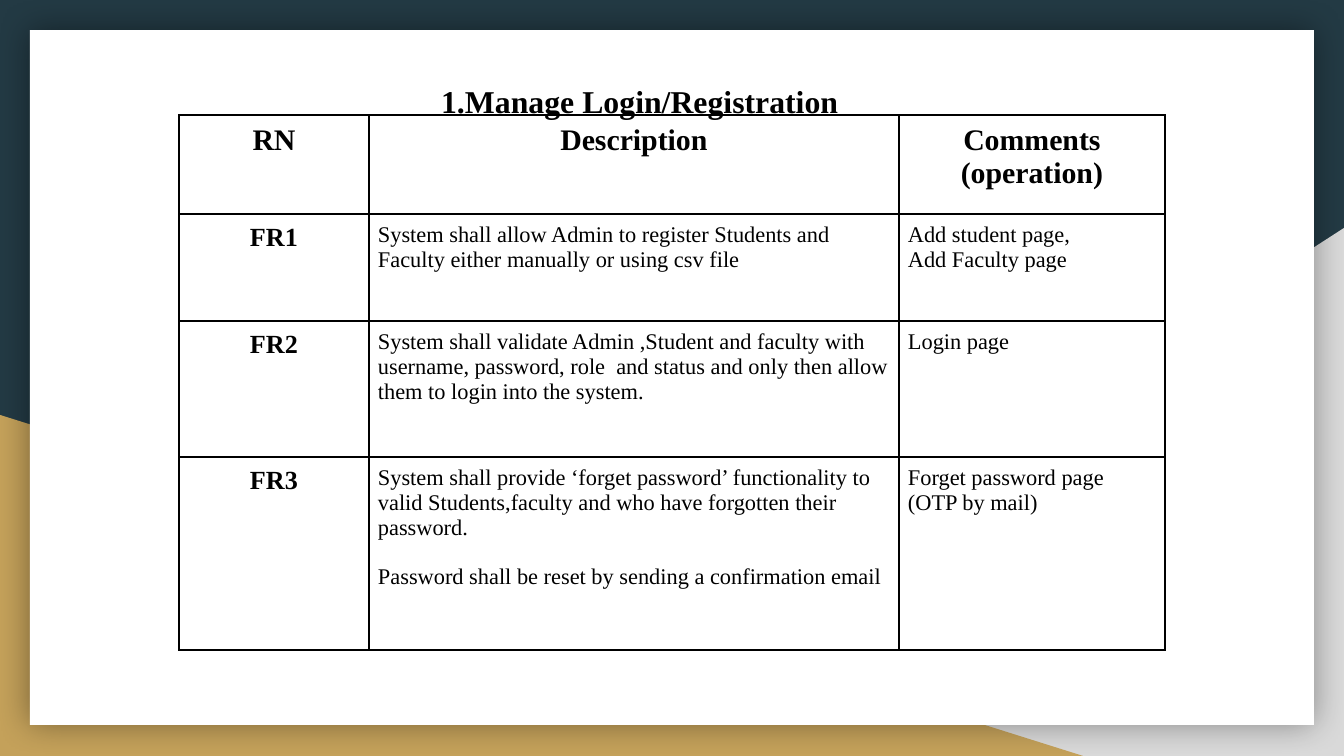
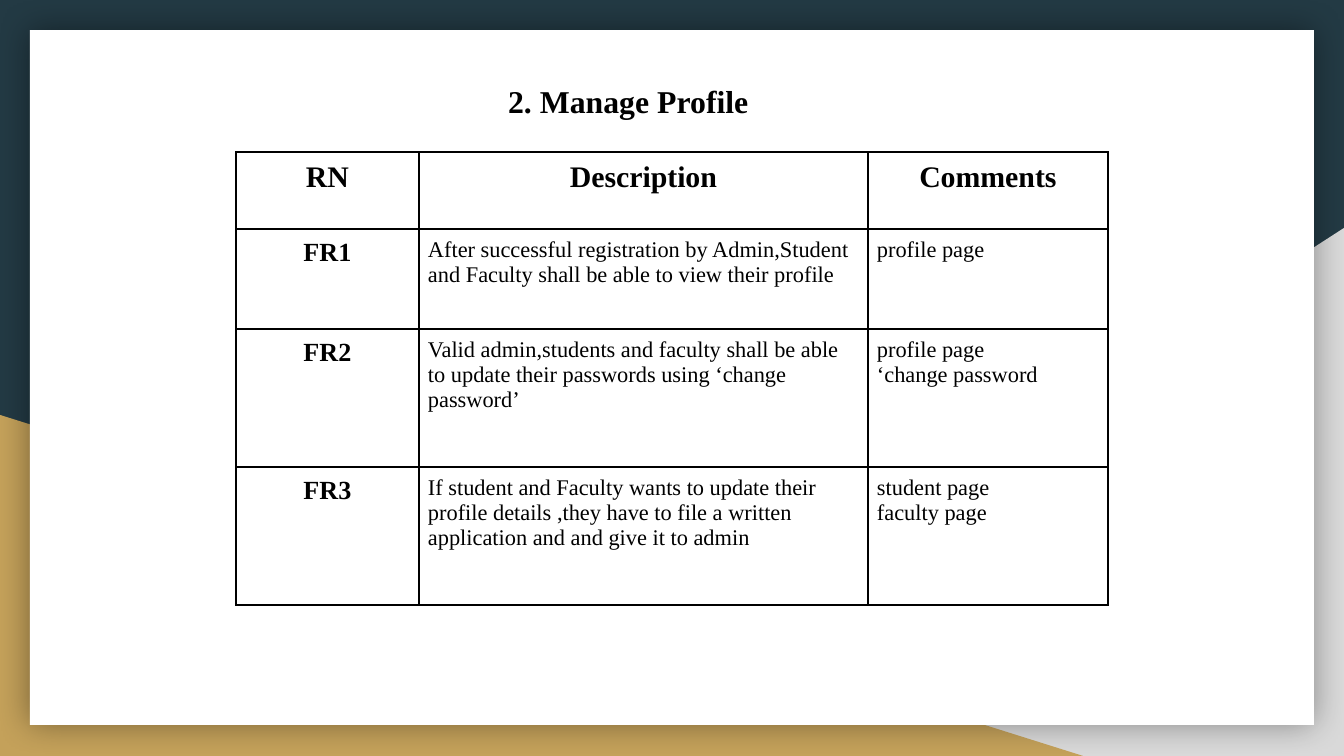
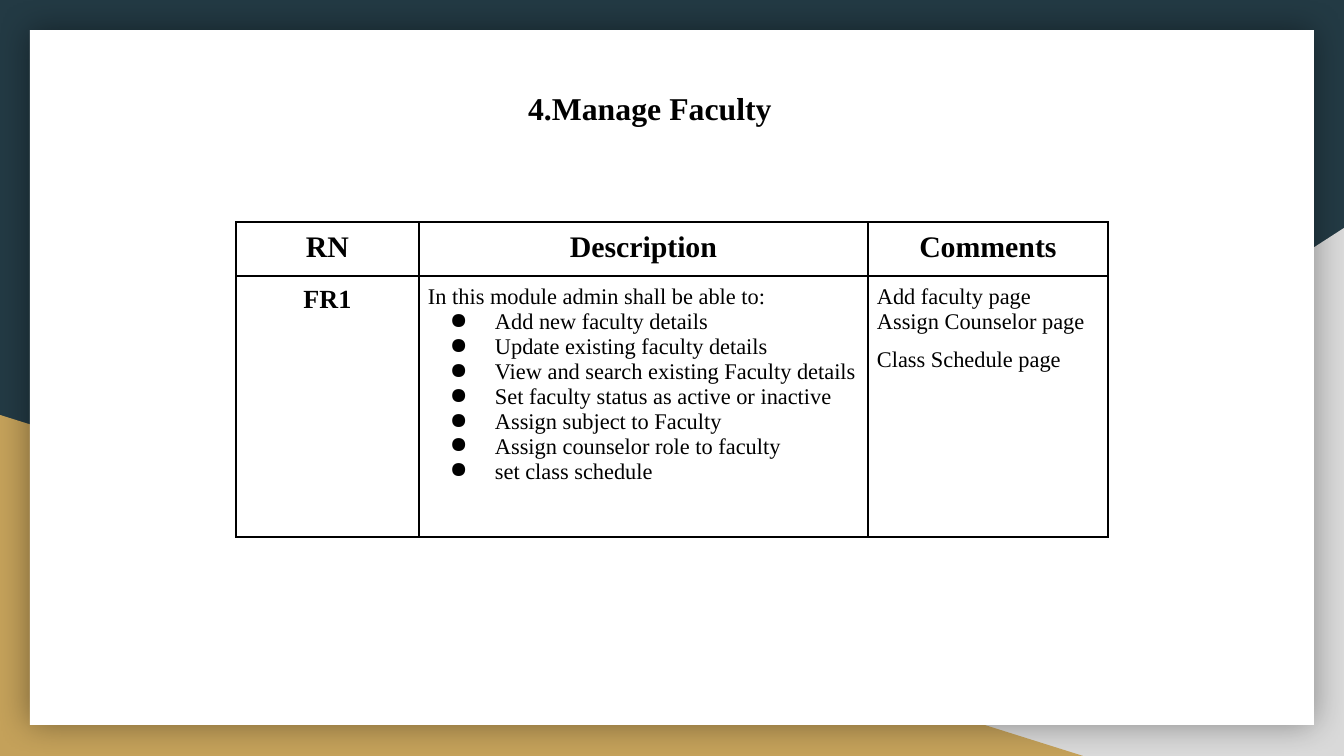
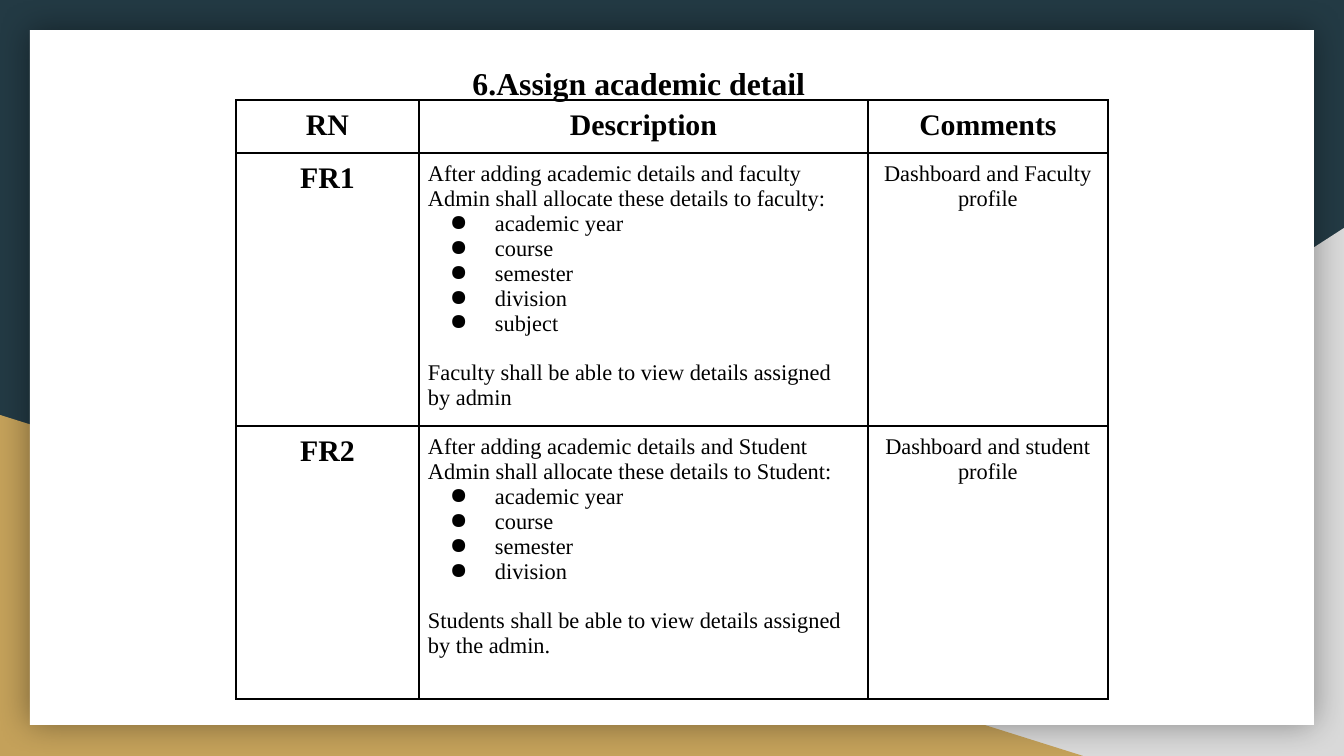
from collections import namedtuple
from dataclasses import dataclass

from lxml import etree
from pptx import Presentation
from pptx import util as u
from pptx.dml.color import RGBColor
from pptx.enum import shapes, text
from pptx.oxml.ns import qn

Line = namedtuple("Line", "words kind")
Title = namedtuple("Title", "words box margin first_indent spacing align")
Requirements = namedtuple("Requirements", "title corner columns rows body_align code_size lines")


@dataclass(frozen=True)
class Theme:
    font: str = "Times New Roman"
    ink: str = "000000"
    backdrop: str = "233A44"
    grey: str = "D9D9D9"
    gold: str = "C4A15A"
    paper: str = "FFFFFF"
    title: int = 17
    heading: int = 16
    code: int = 14
    body: int = 12
    paragraph_gap: int = 13
    border: int = 1
    shadow_blur: int = 18
    shadow_opacity: int = 40


THEME = Theme()
EMU_PER_PX = 914400 / 134.4
WIDTH, HEIGHT = 1344, 756
CELL_INSET = 9
TITLE_INSET = 13
BULLET_MARGIN, BULLET_HANG = 67, -45

LEFT, CENTER = text.PP_ALIGN.LEFT, text.PP_ALIGN.CENTER
WIDE_COLUMNS = (190, 530, 266)
NARROW_COLUMNS = (183, 449, 240)
HEADINGS = ["RN", "Description", "Comments"]


def bullets(*items):
    return [Line(item, "bullet") for item in items]


def allocation(role, details, closing):
    return [f"After adding academic details and {role.capitalize()}" if role == "student"
            else f"After adding academic details and {role}",
            f"Admin shall allocate these details to {role.capitalize() if role == 'student' else role}:",
            *bullets(*details), Line(closing, "apart")]


DETAILS = ["academic year", "course", "semester", "division"]

SLIDES = [
    Requirements(
        Title("1.Manage Login/Registration", (159, 50, 986, 66), 202, 67, 1.5, LEFT),
        (179, 115), WIDE_COLUMNS, (99, 107, 136, 193), LEFT, THEME.code, [
            ["RN", "Description", ["Comments", "(operation)"]],
            ["FR1",
             ["System shall allow Admin to register Students and Faculty either manually or using csv file"],
             ["Add student page,", "Add Faculty page"]],
            ["FR2",
             ["System shall validate Admin ,Student and faculty with username, password, role  and status "
              "and only then allow them to login into the system."],
             ["Login page"]],
            ["FR3",
             ["System shall provide ‘forget password’ functionality to valid Students,faculty and who have "
              "forgotten their password.",
              Line("Password shall be reset by sending a confirmation email", "apart")],
             ["Forget password page", "(OTP by mail)"]],
        ]),
    Requirements(
        Title("2. Manage Profile", (159, 50, 986, 66), 269, 67, 1.5, LEFT),
        (236, 152), NARROW_COLUMNS, (77, 100, 138, 138), LEFT, THEME.code, [
            HEADINGS,
            ["FR1",
             ["After successful registration by Admin,Student and Faculty shall be able to view their profile"],
             ["profile page"]],
            ["FR2",
             ["Valid admin,students and faculty shall be able  to update their passwords using "
              "‘change password’"],
             ["profile page", "‘change password"]],
            ["FR3",
             ["If student and Faculty wants to update their profile details ,they have to file a written "
              "application and and give it to admin"],
             ["student page", "faculty page"]],
        ]),
    Requirements(
        Title("4.Manage Faculty", (179, 57, 986, 66), 269, 67, 1.5, LEFT),
        (236, 222), NARROW_COLUMNS, (54, 261), LEFT, THEME.code, [
            HEADINGS,
            ["FR1",
             ["In this module admin shall be able to:",
              *bullets("Add new faculty details", "Update existing faculty details",
                       "View and search existing Faculty details",
                       "Set faculty status as active or inactive", "Assign subject to Faculty",
                       "Assign counselor role to faculty", "set class schedule")],
             ["Add faculty page", "Assign Counselor page", Line("Class Schedule page", "loose")]],
        ]),
    Requirements(
        Title("6.Assign academic detail", (129, 51, 1020, 50), 0, 0, 1, CENTER),
        (236, 100), NARROW_COLUMNS, (53, 273, 273), CENTER, THEME.heading, [
            HEADINGS,
            ["FR1",
             allocation("faculty", DETAILS + ["subject"],
                        "Faculty shall be able to view details assigned by admin"),
             ["Dashboard and Faculty profile"]],
            ["FR2",
             allocation("student", DETAILS,
                        "Students shall be able to view details assigned by the admin."),
             ["Dashboard and student profile"]],
        ]),
]


def px(length):
    return u.Emu(round(length * EMU_PER_PX))


def rgb(code):
    return RGBColor.from_string(code)


def add_node(parent, tag, **attributes):
    return etree.SubElement(parent, qn(tag), {key: str(value) for key, value in attributes.items()})


def add_color(parent, code):
    return add_node(add_node(parent, "a:solidFill"), "a:srgbClr", val=code)


def indent(paragraph, margin, first):
    properties = paragraph._p.get_or_add_pPr()
    properties.set("marL", str(px(margin)))
    properties.set("indent", str(px(first)))
    return properties


def style(paragraph, size, bold, align):
    paragraph.alignment = align
    paragraph.font.name = THEME.font
    paragraph.font.size = u.Pt(size)
    paragraph.font.bold = bold
    paragraph.font.color.rgb = rgb(THEME.ink)


def build_master(deck, slide):
    master = deck.slide_master
    master.background.fill.solid()
    master.background.fill.fore_color.rgb = rgb(THEME.backdrop)
    triangle, rectangle = shapes.MSO_SHAPE.RIGHT_TRIANGLE, shapes.MSO_SHAPE.RECTANGLE
    backdrop = [
        (triangle, (527, 228, 817, 528), THEME.grey),
        (triangle, (0, 415, 1083, 341), THEME.gold),
        (rectangle, (30, 30, 1284, 695), THEME.paper),
    ]
    for position, (preset, box, color) in enumerate(backdrop):
        part = slide.shapes.add_shape(preset, *map(px, box))
        part.shadow.inherit = False
        part.fill.solid()
        part.fill.fore_color.rgb = rgb(color)
        part.line.fill.background()
        if color == THEME.grey:
            part.element.spPr.find(qn("a:xfrm")).set("flipH", "1")
        if color == THEME.paper:
            effects = part.element.spPr.find(qn("a:effectLst"))
            shadow = add_node(effects, "a:outerShdw", blurRad=u.Pt(THEME.shadow_blur),
                              dist=0, dir=0, algn="ctr", rotWithShape=0)
            tint = add_node(shadow, "a:srgbClr", val=THEME.ink)
            add_node(tint, "a:alpha", val=THEME.shadow_opacity * 1000)
        master.shapes.element.insert(2 + position, part.element)


def add_title(slide, title):
    heading = slide.shapes.title
    heading.left, heading.top, heading.width, heading.height = map(px, title.box)
    frame = heading.text_frame
    frame.word_wrap = True
    frame.auto_size = text.MSO_AUTO_SIZE.NONE
    frame.vertical_anchor = text.MSO_ANCHOR.TOP
    frame.margin_left = frame.margin_right = frame.margin_top = frame.margin_bottom = px(TITLE_INSET)
    frame.text = title.words
    paragraph = frame.paragraphs[0]
    indent(paragraph, title.margin, title.first_indent)
    paragraph.line_spacing = float(title.spacing)
    style(paragraph, THEME.title, True, title.align)


def fill_cell(cell, lines, size, bold, align):
    cell.margin_left = cell.margin_right = cell.margin_top = cell.margin_bottom = px(CELL_INSET)
    cell.vertical_anchor = text.MSO_ANCHOR.TOP
    cell.fill.background()
    properties = cell._tc.get_or_add_tcPr()
    for position, side in enumerate(("a:lnL", "a:lnR", "a:lnT", "a:lnB")):
        border = add_node(properties, side, w=u.Pt(THEME.border))
        add_color(border, THEME.ink)
        properties.insert(position, border)

    frame = cell.text_frame
    for number, entry in enumerate([lines] if isinstance(lines, str) else lines):
        line = entry if isinstance(entry, Line) else Line(entry, "plain")
        paragraph = frame.add_paragraph() if number else frame.paragraphs[0]
        paragraph.text = line.words
        if line.kind == "bullet":
            marker = indent(paragraph, BULLET_MARGIN, BULLET_HANG)
            add_node(add_node(marker, "a:buClr"), "a:srgbClr", val=THEME.ink)
            add_node(marker, "a:buChar", char="●")
        elif line.kind == "apart":
            paragraph.space_before = u.Pt(THEME.paragraph_gap)
        elif line.kind == "loose":
            paragraph.line_spacing = 1.5
        style(paragraph, size, bold, align)


def add_requirements(slide, content):
    table = slide.shapes.add_table(
        len(content.rows), len(content.columns), *map(px, content.corner),
        px(sum(content.columns)), px(sum(content.rows))).table
    table.first_row = table.horz_banding = False
    for column, width in zip(table.columns, content.columns):
        column.width = px(width)
    for row, height in zip(table.rows, content.rows):
        row.height = px(height)
    for r, requirement in enumerate(content.lines):
        for c, lines in enumerate(requirement):
            if r == 0:
                look = THEME.heading, True, CENTER
            elif c == 0:
                look = content.code_size, True, CENTER
            else:
                look = THEME.body, False, content.body_align if c == 2 else LEFT
            fill_cell(table.cell(r, c), lines, *look)


def main():
    deck = Presentation()
    deck.slide_width, deck.slide_height = px(WIDTH), px(HEIGHT)
    title_only = deck.slide_layouts[5]
    for number, content in enumerate(SLIDES):
        slide = deck.slides.add_slide(title_only)
        if number == 0:
            build_master(deck, slide)
        add_title(slide, content.title)
        add_requirements(slide, content)
    deck.save("out.pptx")


if __name__ == "__main__":
    main()
